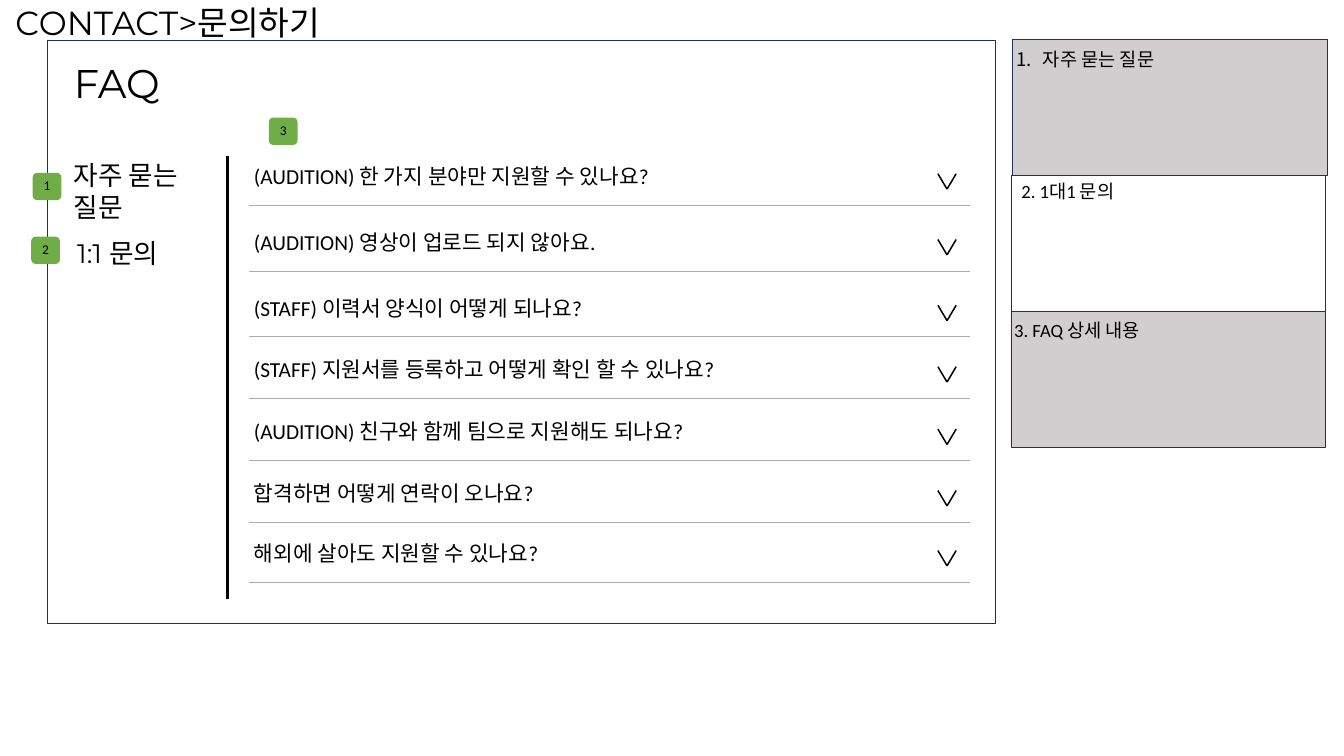
from dataclasses import dataclass
from lxml.etree import SubElement
from pptx import Presentation
from pptx.dml.color import RGBColor
from pptx.enum.dml import MSO_LINE
from pptx.enum.shapes import MSO_CONNECTOR, MSO_SHAPE
from pptx.enum.text import MSO_ANCHOR, MSO_AUTO_SIZE, PP_ALIGN
from pptx.oxml.ns import qn
from pptx.util import Inches, Pt

BLACK, NAVY, GRAY, GREEN, RULE = "000000", "1E3256", "D0CECE", "70AD47", "AFABAB"
HEAD, BODY = "Montserrat", "Calibri"


@dataclass
class Row:
    top: float
    text: str


@dataclass
class Badge:
    left: float
    top: float
    text: str


@dataclass
class Panel:
    left: float
    top: float
    fill: str | None
    text: str
    dx: float
    dy: float
    width: float
    listed: bool = False


ROWS = [
    Row(3.35, "(AUDITION) 한 가지 분야만 지원할 수 있나요?"),
    Row(4.72, "(AUDITION) 영상이 업로드 되지 않아요."),
    Row(6.09, "(STAFF) 이력서 양식이 어떻게 되나요?"),
    Row(7.37, "(STAFF) 지원서를 등록하고 어떻게 확인 할 수 있나요?"),
    Row(8.67, "(AUDITION) 친구와 함께 팀으로 지원해도 되나요?"),
    Row(9.95, "합격하면 어떻게 연락이 오나요?"),
    Row(11.2, "해외에 살아도 지원할 수 있나요?"),
]
BADGES = [Badge(0.68, 3.6, "1"), Badge(0.65, 4.93, "2"), Badge(5.6, 2.45, "3")]
PANELS = [
    Panel(21.1, 0.83, GRAY, "자주 묻는 질문", -0.03, 0.11, 5.16, True),
    Panel(21.07, 3.66, None, "2. 1대1 문의", 0.11, 0.04, 3.9),
    Panel(21.06, 6.48, GRAY, "3. FAQ 상세 내용", -0.03, 0.11, 5.16),
]


def color(code: str) -> RGBColor:
    return RGBColor.from_string(code)


def write(box, text: str, size: float, font: str, align=PP_ALIGN.LEFT,
          wrap: bool = True, listed: bool = False) -> None:
    frame = box.text_frame
    frame.word_wrap = wrap
    frame.auto_size = MSO_AUTO_SIZE.SHAPE_TO_FIT_TEXT
    frame.vertical_anchor = MSO_ANCHOR.TOP
    para = frame.paragraphs[0]
    para.alignment = align
    if listed:
        props = para._p.get_or_add_pPr()
        props.set("marL", str(Inches(0.56)))
        props.set("indent", str(Inches(-0.56)))
        SubElement(props, qn("a:buAutoNum"), type="arabicPeriod")
    run = para.add_run()
    run.text = text
    run.font.size = Pt(size)
    run.font.name = font
    run.font.color.rgb = color(BLACK)


def label(slide, left: float, top: float, width: float, height: float,
          text: str, size: float, font: str, **style) -> None:
    box = slide.shapes.add_textbox(
        Inches(left), Inches(top), Inches(width), Inches(height))
    write(box, text, size, font, **style)


def block(slide, left: float, top: float, width: float, height: float,
          fill: str | None = None, line: str | None = None,
          kind=MSO_SHAPE.RECTANGLE) -> None:
    shape = slide.shapes.add_shape(
        kind, Inches(left), Inches(top), Inches(width), Inches(height))
    shape.shadow.inherit = False
    if fill:
        shape.fill.solid()
        shape.fill.fore_color.rgb = color(fill)
    else:
        shape.fill.background()
    if line:
        shape.line.color.rgb = color(line)
        shape.line.width = Pt(1)
    else:
        shape.line.fill.background()


def stroke(slide, x1: float, y1: float, x2: float, y2: float,
           width: float, code: str = BLACK, dash=None) -> None:
    line = slide.shapes.add_connector(
        MSO_CONNECTOR.STRAIGHT, Inches(x1), Inches(y1), Inches(x2), Inches(y2))
    line.line.color.rgb = color(code)
    line.line.width = Pt(width)
    if dash:
        line.line.dash_style = dash
    SubElement(line._element.spPr, qn("a:effectLst"))


def draw_row(slide, row: Row) -> None:
    label(slide, 5.19, row.top, 14.27, 0.56, row.text, 32, BODY)
    base = row.top + 0.92
    stroke(slide, 20.19, base, 5.19, base, 0.25, RULE, MSO_LINE.ROUND_DOT)
    for x in (19.54, 19.92):
        stroke(slide, x, row.top + 0.27, 19.73, row.top + 0.59, 2.25)


def draw_badge(slide, badge: Badge) -> None:
    block(slide, badge.left, badge.top, 0.6, 0.57, GREEN,
          kind=MSO_SHAPE.ROUNDED_RECTANGLE)
    label(slide, badge.left + 0.13, badge.top + 0.05, 0.34, 0.44, badge.text,
          20, BODY, align=PP_ALIGN.CENTER, wrap=False)


def draw_panel(slide, panel: Panel) -> None:
    block(slide, panel.left, panel.top, 6.55, 2.83, panel.fill, NAVY)
    label(slide, panel.left + panel.dx, panel.top + panel.dy, panel.width, 0.57,
          panel.text, 28, BODY, listed=panel.listed)


def main() -> None:
    deck = Presentation()
    deck.slide_width, deck.slide_height = Inches(28), Inches(15.75)
    slide = deck.slides.add_slide(deck.slide_layouts[5])

    # Page title
    title = slide.shapes.title
    title.left, title.top = Inches(0.22), Inches(0)
    title.width, title.height = Inches(7.58), Inches(0.94)
    write(title, "CONTACT>문의하기", 50, HEAD)

    # Screen frame and side menu
    block(slide, 0.98, 0.83, 19.76, 12.15, line=NAVY)
    label(slide, 1.44, 1.17, 2.18, 1.11, "FAQ", 60, HEAD)
    label(slide, 1.44, 3.25, 3.03, 1.45, "자주 묻는 질문", 40, HEAD)
    label(slide, 1.51, 4.88, 2.84, 0.68, "1:1 문의", 40, HEAD)
    stroke(slide, 4.73, 3.25, 4.73, 12.48, 4.5)

    # Questions, number badges and description panels
    for row in ROWS:
        draw_row(slide, row)
    for badge in BADGES:
        draw_badge(slide, badge)
    for panel in PANELS:
        draw_panel(slide, panel)

    deck.save("out.pptx")


if __name__ == "__main__":
    main()
